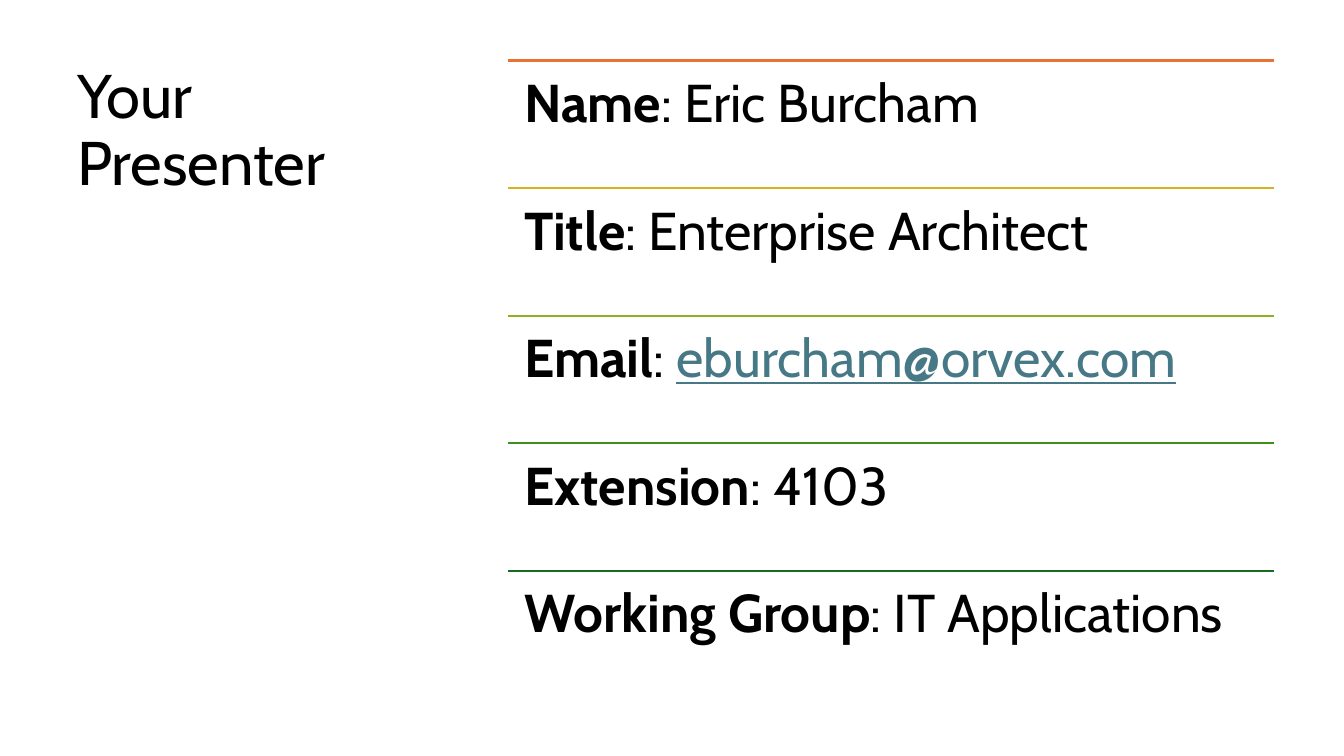
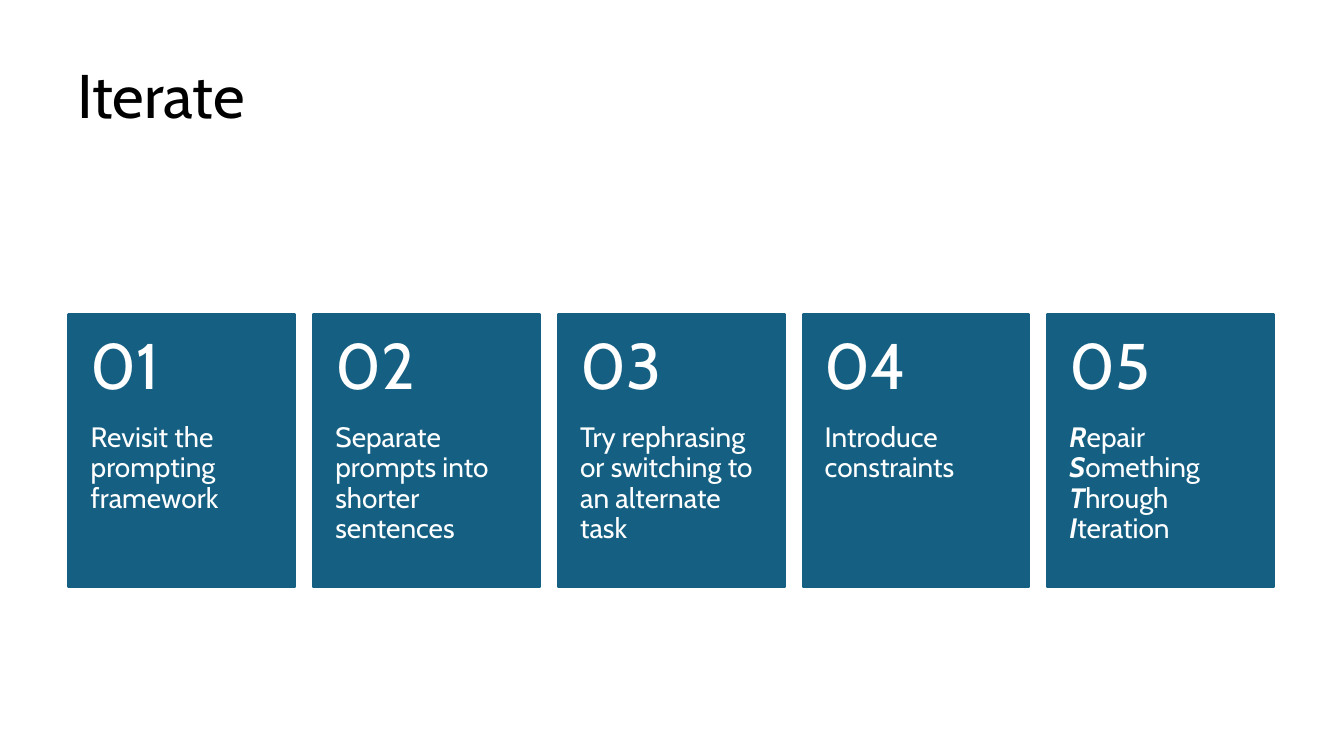
from lxml.etree import SubElement
from pptx import Presentation
from pptx.dml.color import RGBColor
from pptx.enum.shapes import MSO_CONNECTOR, MSO_SHAPE
from pptx.enum.text import MSO_ANCHOR
from pptx.oxml.ns import qn
from pptx.util import Inches, Pt

BLANK_LAYOUT = 6
LEFT, RIGHT, TOP = 5.1, 94.8, 8  # margins, in percent of the slide


def color(hex_string):
    return RGBColor.from_string(hex_string)


class Deck:
    """Holds the style and the current slide; lengths are percent of the slide's size."""

    font = "Cabin"
    black, white, teal, link = "000000", "FFFFFF", "156082", "467886"
    line_width = Pt(1.5)

    def __init__(self):
        self.presentation = Presentation()
        self.presentation.slide_width = Inches(13.33)
        self.presentation.slide_height = Inches(7.5)
        self.slide = None

    def box(self, left, top, width, height):
        """Turn percentages into slide lengths."""
        across = self.presentation.slide_width / 100
        down = self.presentation.slide_height / 100
        return [round(value) for value in
                (left * across, top * down, width * across, height * down)]

    def add_slide(self, title, title_width):
        layout = self.presentation.slide_layouts[BLANK_LAYOUT]
        self.slide = self.presentation.slides.add_slide(layout)
        self.text((5, TOP, title_width, 16.5), [(title, {})], 44)

    def text(self, area, runs, size, hex_string=black,
             insets=(0.1, 0.05, 0.1, 0.05), anchor=MSO_ANCHOR.TOP):
        """Add a one-paragraph text box; insets are inches: left, top, right, bottom."""
        frame = self.slide.shapes.add_textbox(*self.box(*area)).text_frame
        frame.word_wrap = True
        frame.vertical_anchor = anchor
        (frame.margin_left, frame.margin_top,
         frame.margin_right, frame.margin_bottom) = map(Inches, insets)
        paragraph = frame.paragraphs[0]
        paragraph.line_spacing = 0.9
        for words, style in runs:
            run = paragraph.add_run()
            run.text = words
            font = run.font
            font.name, font.size = self.font, Pt(size)
            font.bold = style.get("bold", False)
            font.italic = style.get("italic", False)
            font.underline = style.get("underline", False)
            font.color.rgb = color(style.get("color", hex_string))

    def rule(self, left, top, width, hex_string):
        x, y, length, _ = self.box(left, top, width, 0)
        line = self.slide.shapes.add_connector(
            MSO_CONNECTOR.STRAIGHT, x, y, x + length, y)
        line.line.color.rgb = color(hex_string)
        line.line.width = self.line_width
        SubElement(line._element.spPr, qn("a:effectLst"))

    def rectangle(self, area, hex_string):
        shape = self.slide.shapes.add_shape(MSO_SHAPE.RECTANGLE, *self.box(*area))
        shape.shadow.inherit = False
        shape.fill.solid()
        shape.fill.fore_color.rgb = color(hex_string)
        shape.line.color.rgb = color(hex_string)
        shape.line.width = self.line_width

    def card(self, area, number, runs):
        """Add a filled card: the number in the top 40 percent, the text below."""
        left, top, width, height = area
        number_height = 0.4 * height
        self.rectangle(area, self.teal)
        self.text((left, top + number_height, width, height - number_height),
                  runs, 20, self.white, (0.22, 0, 0.22, 0.36))
        self.text((left, top, width, number_height), [(f"{number:02}", {})],
                  46, self.white, (0.22, 0.18, 0.22, 0.18), MSO_ANCHOR.MIDDLE)


def add_presenter(deck):
    deck.add_slide("Your Presenter", 28.65)
    details = [
        ("Name", "Eric Burcham", {}, "E97132"),
        ("Title", "Enterprise Architect", {}, "D8B11D"),
        ("Email", "eburcham@orvex.com",
         {"color": deck.link, "underline": True}, "8EB21E"),
        ("Extension", "4103", {}, "408E1C"),
        ("Working Group", "IT Applications", {}, "196B24"),
    ]
    left, width = 37.8, 57
    row_height = 84.4 / len(details)
    for row, (label, value, style, rule_color) in enumerate(details):
        top = TOP + row * row_height
        deck.rule(left, top, width, rule_color)
        deck.text((left, top, width, row_height),
                  [(label, {"bold": True}), (": ", {}), (value, style)],
                  38, insets=(0.16,) * 4)


def add_iterate(deck):
    deck.add_slide("Iterate", 89.8)
    steps = [[(words, {})] for words in (
        "Revisit the prompting framework",
        "Separate prompts into shorter sentences",
        "Try rephrasing or switching to an alternate task",
        "Introduce constraints",
    )]
    initial = {"bold": True, "italic": True}
    acronym = []
    for word in ("Repair ", "Something ", "Through ", "Iteration"):
        acronym += [(word[0], initial), (word[1:], {})]
    steps.append(acronym)

    gap = 1.33
    pitch = (RIGHT - LEFT + gap) / len(steps)
    for column, runs in enumerate(steps):
        deck.card((LEFT + column * pitch, 41.6, pitch - gap, 36), column + 1, runs)


def main():
    deck = Deck()
    add_presenter(deck)
    add_iterate(deck)
    deck.presentation.save("out.pptx")


if __name__ == "__main__":
    main()
